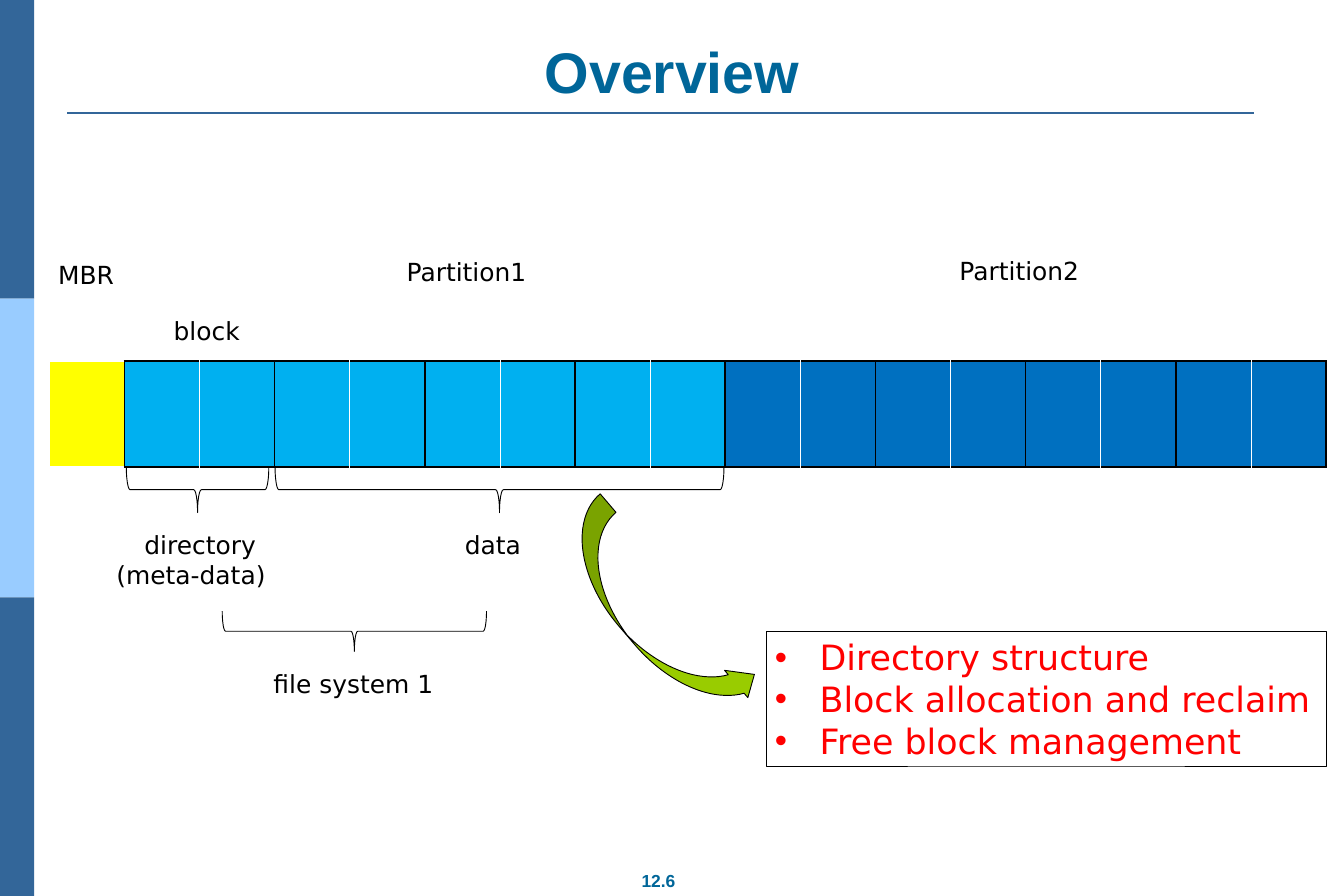
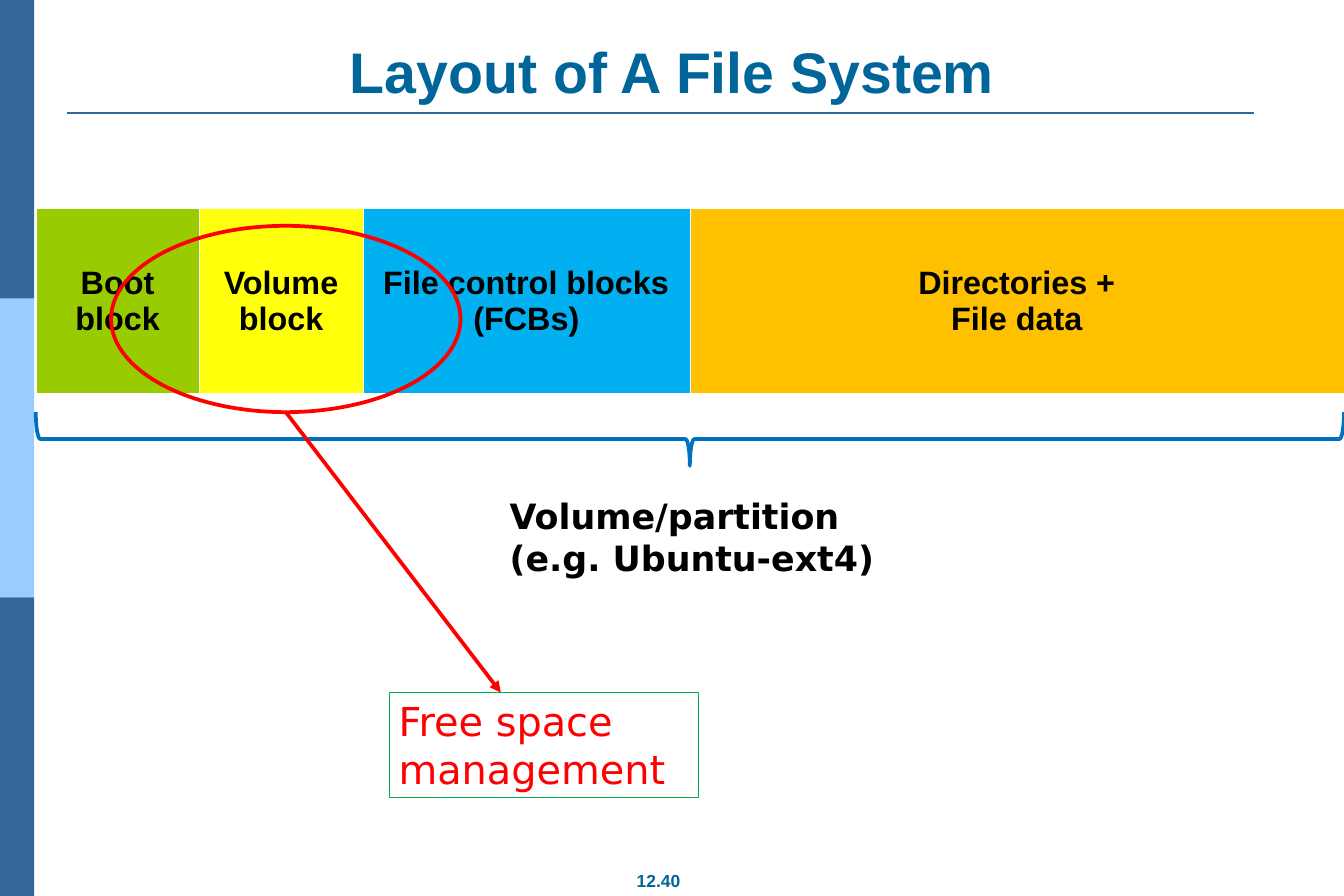
import pptx
import pptx.util
import pptx.dml.color
import pptx.enum.shapes
import pptx.enum.text
import pptx.oxml
import pptx.oxml.ns
import lxml.etree

SHAPE = pptx.enum.shapes.MSO_SHAPE
ALIGN = pptx.enum.text.PP_ALIGN
ANCHOR = pptx.enum.text.MSO_ANCHOR
COLS, ROWS = 15, 10
HUES = {
    "navy": "336699", "pale": "99CCFF", "title": "006699", "black": "000000",
    "white": "FFFFFF", "red": "FF0000", "green": "00B050", "lime": "99CC00",
    "yellow": "FFFF00", "lemon": "FFFF0A", "sky": "00B0F0", "blue": "0070C0",
    "gold": "FFC000",
}
FONTS = {
    "title": {"name": "Arial", "size": 46, "bold": True, "hue": "title"},
    "foot": {"name": "Arial", "size": 14, "bold": True, "hue": "title"},
    "cell": {"name": "Arial", "size": 26, "bold": True, "hue": "black"},
    "label": {"name": "DejaVu Sans", "size": 20, "bold": False, "hue": "black"},
    "strong": {"name": "DejaVu Sans", "size": 28, "bold": True, "hue": "black"},
    "list": {"name": "DejaVu Sans", "size": 28, "bold": False, "hue": "red"},
    "note": {"name": "DejaVu Sans", "size": 32, "bold": False, "hue": "red"},
}


def color(hue):
    return pptx.dml.color.RGBColor.from_string(HUES[hue])


def add(root, tag, **attrs):
    node = lxml.etree.SubElement(root, pptx.oxml.ns.qn("a:" + tag))
    for key, value in attrs.items():
        node.set(key, str(value))
    return node


class Deck:
    def __init__(self):
        self.show = pptx.Presentation()
        self.show.slide_width = pptx.util.Inches(15)
        self.show.slide_height = pptx.util.Inches(10)
        self.unit = self.show.slide_width / COLS, self.show.slide_height / ROWS
        self.slide = None

    def span(self, *sides):
        return [round(side * self.unit[i % 2]) for i, side in enumerate(sides)]

    def start(self, title, page):
        self.slide = self.show.slides.add_slide(self.show.slide_layouts[6])
        for i, hue in enumerate(("navy", "pale", "navy")):
            self.shape(SHAPE.RECTANGLE, (0, i * ROWS / 3, 0.38, ROWS / 3), fill=hue)
        self.line((0.75, 1.26, 14, 1.26), "navy", 1.5)
        inset = (0.14, 0.07)
        self.text((6.6, 9.64, 1.5, 0.38), [page], "foot", ALIGN.CENTER, inset=inset, wrap=False)
        self.text((0.75, 0.4, 13.5, 0.84), [title], "title", ALIGN.CENTER,
                  anchor=ANCHOR.BOTTOM, inset=inset)

    def shape(self, kind, box, fill=None, line=None, width=0.75, turn=0):
        item = self.slide.shapes.add_shape(kind, *self.span(*box))
        item.shadow.inherit = False
        item.rotation = turn
        if fill:
            item.fill.solid()
            item.fill.fore_color.rgb = color(fill)
        else:
            item.fill.background()
        if line:
            item.line.color.rgb = color(line)
            item.line.width = pptx.util.Pt(width)
        else:
            item.line.fill.background()
        return item

    def brace(self, box, hue="black", width=0.75):
        left, top, wide, high = box
        spot = (left + (wide - high) / 2, top - (wide - high) / 2, high, wide)
        self.shape(SHAPE.LEFT_BRACE, spot, line=hue, width=width, turn=270)

    def line(self, ends, hue, width, head=False):
        item = self.slide.shapes.add_connector(
            pptx.enum.shapes.MSO_CONNECTOR.STRAIGHT, *self.span(*ends))
        item.line.color.rgb = color(hue)
        item.line.width = pptx.util.Pt(width)
        props = item.element.spPr
        if head:
            add(props.find(pptx.oxml.ns.qn("a:ln")), "tailEnd", type="triangle")
        add(props, "effectLst")

    def words(self, frame, lines, style, aligns, bullet=False):
        look = FONTS[style]
        for i, line in enumerate(lines):
            para = frame.paragraphs[0] if i == 0 else frame.add_paragraph()
            para.alignment = aligns[i] if isinstance(aligns, list) else aligns
            if bullet:
                props = para._p.get_or_add_pPr()
                props.set("marL", str(pptx.util.Inches(0.5)))
                props.set("indent", str(-pptx.util.Inches(0.5)))
                add(add(props, "buClr"), "srgbClr", val=HUES[look["hue"]])
                add(props, "buFont", typeface="Arial")
                add(props, "buChar", char="•")
            run = para.add_run()
            run.text = line
            form = {"name": look["name"], "bold": look["bold"],
                    "size": pptx.util.Pt(look["size"])}
            for key, value in form.items():
                setattr(run.font, key, value)
            run.font.color.rgb = color(look["hue"])

    def text(self, box, lines, style="label", aligns=ALIGN.LEFT, line=None,
             anchor=ANCHOR.TOP, inset=(0.1, 0.05), wrap=True, bullet=False):
        if line:
            item = self.shape(SHAPE.RECTANGLE, box, line=line)
        else:
            item = self.slide.shapes.add_textbox(*self.span(*box))
        wide, high = [pptx.util.Inches(side) for side in inset]
        form = {"word_wrap": wrap, "vertical_anchor": anchor,
                "margin_left": wide, "margin_right": wide,
                "margin_top": high, "margin_bottom": high}
        for key, value in form.items():
            setattr(item.text_frame, key, value)
        self.words(item.text_frame, lines, style, aligns, bullet)

    def table(self, box, shares, cells, edges):
        grid = self.slide.shapes.add_table(1, len(shares), *self.span(*box)).table
        grid.first_row = grid.horz_banding = False
        for i, (share, (hue, lines)) in enumerate(zip(shares, cells)):
            wide = box[2] * share / sum(shares)
            grid.columns[i].width = self.span(wide)[0]
            cell = grid.cell(0, i)
            cell.vertical_anchor = ANCHOR.MIDDLE
            self.words(cell.text_frame, lines, "cell", ALIGN.CENTER)
            props = cell._tc.get_or_add_tcPr()
            for side, (edge, width) in zip("LRTB", edges(i)):
                rim = add(props, "ln" + side, w=pptx.util.Pt(width))
                add(add(rim, "solidFill"), "srgbClr", val=HUES[edge])
            cell.fill.solid()
            cell.fill.fore_color.rgb = color(hue)


THIN, WHITE, BLACK = ("white", 0.45), ("white", 1.47), ("black", 1.47)


def block_edges(i):
    if i == 0:
        return THIN, BLACK, THIN, WHITE
    sides = (BLACK, THIN) if i % 2 else (THIN, BLACK)
    return sides + (BLACK, BLACK)


def plain_edges(i):
    return THIN, THIN, THIN, WHITE


def disk(deck):
    deck.start("Overview", "12.6")
    for left, top, wide, name in (
        (0.55, 2.85, 1.29, "MBR"),
        (4.44, 2.82, 1.76, "Partition1"),
        (10.61, 2.8, 1.76, "Partition2"),
        (5.09, 5.86, 1.76, "data"),
        (1.84, 3.47, 1.76, "block"),
    ):
        deck.text((left, top, wide, 0.44), [name])
    hues = ["yellow"] + ["sky"] * 8 + ["blue"] * 8
    deck.table((0.55, 4.03, 14.25, 1.18), [1] * len(hues),
               [(hue, []) for hue in hues], block_edges)
    for box in ((1.41, 5.21, 1.59, 0.51), (3.07, 5.21, 5.01, 0.51), (2.48, 6.82, 2.95, 0.45)):
        deck.brace(box)
    deck.text((1.2, 5.86, 2.07, 0.77), ["directory", "(meta-data)"],
              aligns=[ALIGN.CENTER, ALIGN.LEFT])
    deck.text((2.91, 7.41, 2.07, 0.44), ["file system 1"], aligns=ALIGN.CENTER)
    deck.text((8.55, 7.05, 6.25, 1.5),
              ["Directory structure", "Block allocation and reclaim", "Free block management"],
              "list", line="black", bullet=True)
    arrow = deck.shape(SHAPE.CURVED_RIGHT_ARROW, (6.92, 5.43, 0.8, 2.85),
                       fill="lime", line="black", turn=319.5)
    for i, value in enumerate((0.34, 0.5, 0.28)):
        arrow.adjustments[i] = value


def volume(deck):
    deck.start("Layout of A File System", "12.40")
    deck.table((0.4, 2.32, 14.6, 2.08), [1, 1, 2, 4], [
        ("lime", ["Boot block"]),
        ("lemon", ["Volume block"]),
        ("sky", ["File control blocks (FCBs)"]),
        ("gold", ["Directories +", "File data"]),
    ], plain_edges)
    deck.brace((0.4, 4.6, 14.6, 0.6), "blue", 3)
    deck.text((5.59, 5.47, 4.56, 1.04), ["Volume/partition", "(e.g. Ubuntu-ext4)"], "strong")
    deck.shape(SHAPE.OVAL, (1.24, 2.52, 3.9, 2.08), line="red", width=3)
    deck.line((3.19, 4.6, 5.59, 7.73), "red", 3, head=True)
    deck.text((4.35, 7.73, 3.45, 1.17), ["Free space management"], "note", line="green")


def main():
    deck = Deck()
    disk(deck)
    volume(deck)
    deck.show.save("out.pptx")


if __name__ == "__main__":
    main()
